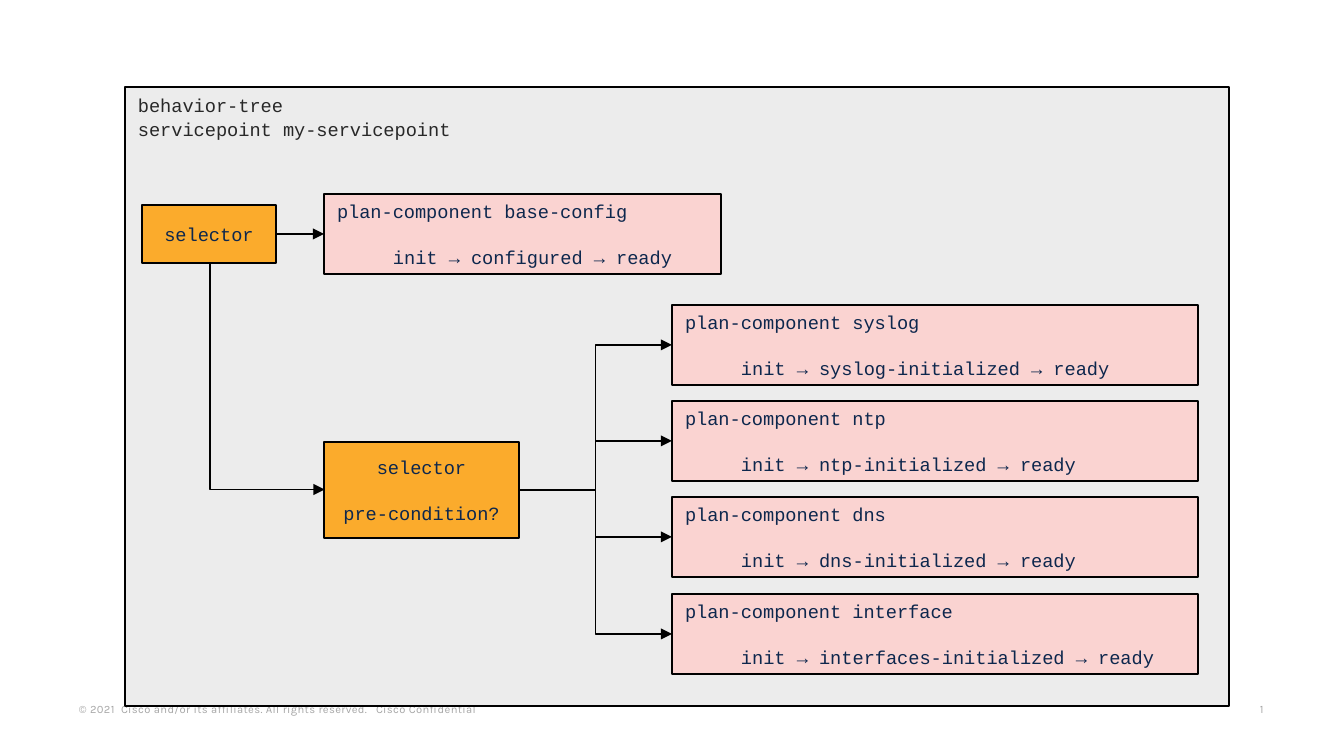
from lxml.etree import SubElement
from pptx import Presentation
from pptx.dml.color import RGBColor
from pptx.enum.shapes import MSO_CONNECTOR as LINK, MSO_SHAPE
from pptx.enum.text import MSO_ANCHOR as ANCHOR, PP_ALIGN as ALIGN
from pptx.oxml.ns import qn
from pptx.util import Pt

PX = 914400 / 134.4
BLACK = RGBColor(0x00, 0x00, 0x00)
NAVY = RGBColor(0x0D, 0x27, 0x4D)
CHARCOAL = RGBColor(0x28, 0x28, 0x28)
SILVER = RGBColor(0xA6, 0xA6, 0xA6)
PANEL = RGBColor(0xEC, 0xEC, 0xEC)
PINK = RGBColor(0xFA, 0xD3, 0xD1)
ORANGE = RGBColor(0xFB, 0xAB, 0x2C)


def px(*lengths):
    return [round(length * PX) for length in lengths]


def write(box, lines, font="Courier New", size=10, color=NAVY, align=ALIGN.LEFT,
          anchor=ANCHOR.MIDDLE, gap=12.5, indent=0, margins=(13, 7), tracking=0, tabs=()):
    """Fill the box; gap and indent apply to every line after the first."""
    frame = box.text_frame
    frame.word_wrap = True
    frame.vertical_anchor = anchor
    frame.margin_left, frame.margin_top = px(*margins)
    frame.margin_right, frame.margin_bottom = px(*margins)
    for index, text in enumerate(lines):
        para = frame.add_paragraph() if index else frame.paragraphs[0]
        para.alignment = align
        properties = para._p.get_or_add_pPr()
        if index:
            para.space_before = Pt(gap)
            properties.set("marL", str(px(indent)[0]))
        if tabs:
            stops = SubElement(properties, qn("a:tabLst"))
            for position in px(*tabs):
                SubElement(stops, qn("a:tab"), pos=str(position), algn="l")
        span = para.add_run()
        span.text = text
        span.font.name = font
        span.font.size = Pt(size)
        span.font.color.rgb = color
        if tracking:
            span._r.get_or_add_rPr().set("spc", str(tracking))


deck = Presentation()
deck.slide_width, deck.slide_height = px(1344, 756)
page = deck.slides.add_slide(deck.slide_layouts[6])
shapes = page.shapes

# Footer
footer = {"font": "Karla", "size": 6, "color": SILVER, "anchor": ANCHOR.BOTTOM,
          "margins": (9, 4), "tracking": 20}
notice = shapes.add_textbox(*px(70, 697, 500, 23))
write(notice, ["© 2021\tCisco and/or its affiliates. All rights reserved.\tCisco Confidential"],
      tabs=(42, 297), **footer)
number = shapes.add_textbox(*px(1251, 697, 32, 23))
write(number, ["1"], **footer)

# Boxes: place, fill, lines, text format
pink_text = {"indent": 56}
orange_text = {"align": ALIGN.CENTER}
boxes = [
    ((125, 87, 1104, 619), PANEL,
     ["behavior-tree", "servicepoint my-servicepoint"],
     {"color": CHARCOAL, "anchor": ANCHOR.TOP, "gap": 1}),
    ((324, 194, 397, 80), PINK,
     ["plan-component base-config", "init → configured → ready"], pink_text),
    ((324, 442, 195, 96), ORANGE, ["selector", "pre-condition?"], orange_text),
    ((142, 205, 134, 58), ORANGE, ["selector"], orange_text),
]
components = [("syslog", "syslog"), ("ntp", "ntp"), ("dns", "dns"), ("interface", "interfaces")]
component_tops = [305 + row * 289 // 3 for row in range(len(components))]
for top, (name, state) in zip(component_tops, components):
    boxes.append(((672, top, 526, 80), PINK,
                  [f"plan-component {name}", f"init → {state}-initialized → ready"], pink_text))

for place, fill, lines, text_format in boxes:
    box = shapes.add_shape(MSO_SHAPE.RECTANGLE, *px(*place))
    box.shadow.inherit = False
    box.fill.solid()
    box.fill.fore_color.rgb = fill
    box.line.color.rgb = BLACK
    box.line.width = Pt(1)
    write(box, lines, **text_format)

# Arrows; the last one is drawn lying down, then turned to run down and right
arrows = [(LINK.ELBOW, 519, 490, 672, top + 40) for top in component_tops]
arrows.append((LINK.STRAIGHT, 276, 234, 324, 234))
arrows.append((LINK.ELBOW, 380, 319, 154, 434))
for kind, *ends in arrows:
    arrow = shapes.add_connector(kind, *px(*ends))
    arrow.line.color.rgb = BLACK
    arrow.line.width = Pt(1)
    SubElement(arrow.line._get_or_add_ln(), qn("a:tailEnd"), type="triangle")
    SubElement(arrow._element.spPr, qn("a:effectLst"))
turned = arrow._element.spPr
turned.find(qn("a:xfrm")).set("rot", str(270 * 60000))
turned.find(qn("a:prstGeom")).set("prst", "bentConnector2")

deck.save("out.pptx")
